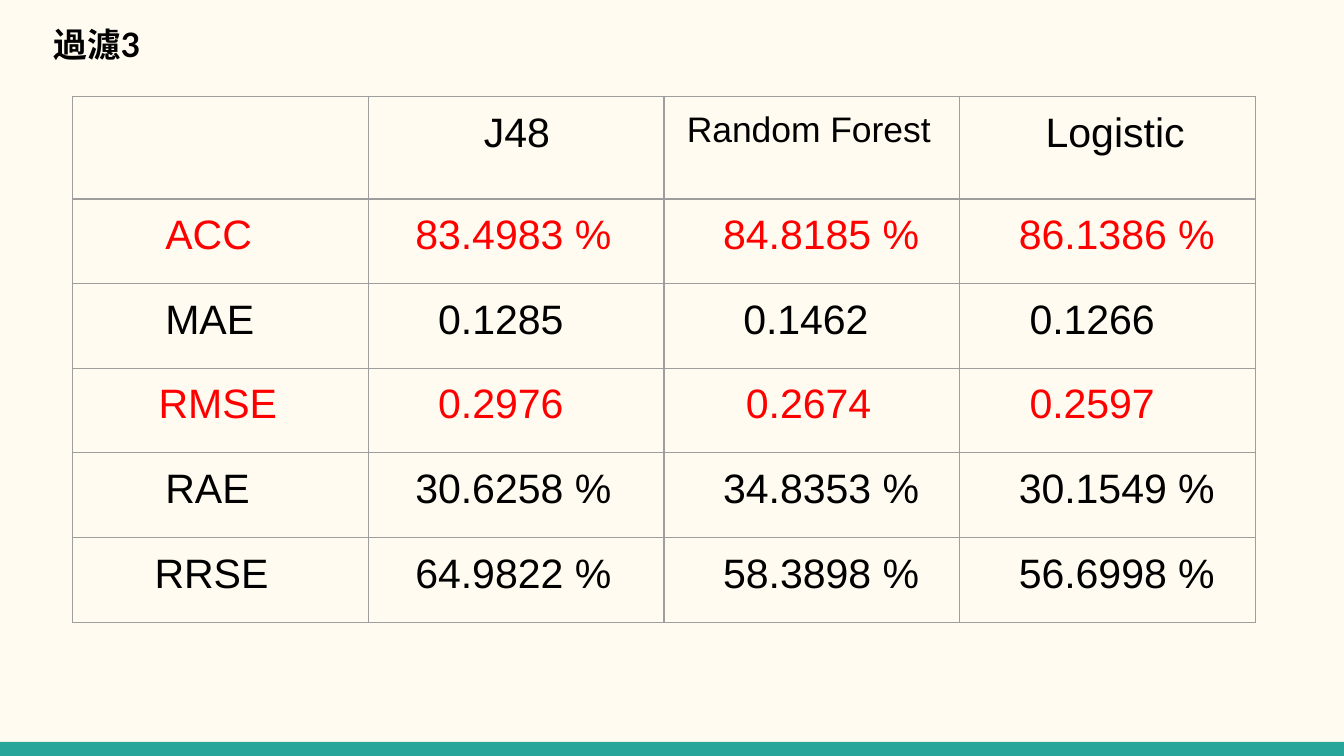
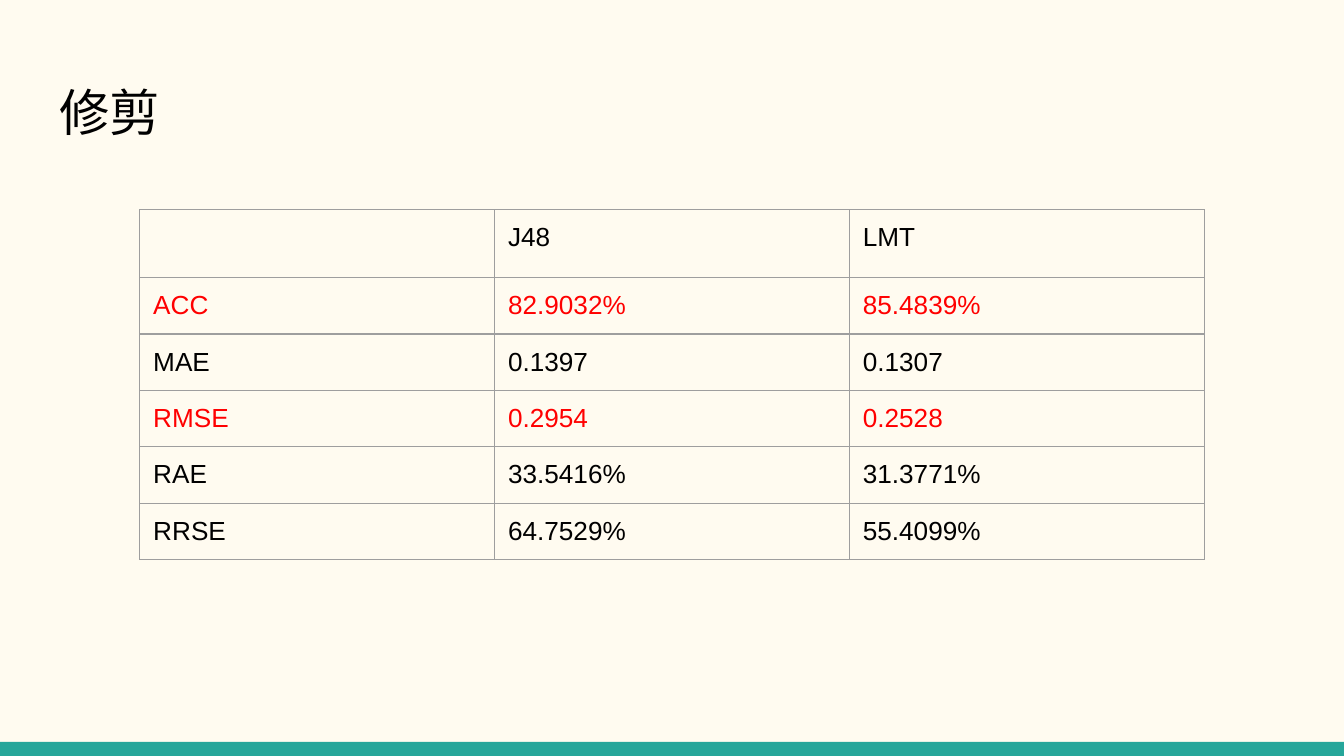
from dataclasses import dataclass

import pptx
import pptx.dml.color
import pptx.enum.shapes
import pptx.enum.text
import pptx.oxml
import pptx.oxml.ns
import pptx.presentation
import pptx.shapes.autoshape
import pptx.slide
import pptx.table
import pptx.text.text
import pptx.util

Inches = pptx.util.Inches

COLORS = {
    "page": "FFFBF0",
    "band": "26A69A",
    "grid": "9E9E9E",
    "text": "000000",
    "key": "FF0000",
}
KEY_METRICS = ("ACC", "RMSE")
PADDING = Inches(0.1)
TITLE_ONLY = 5


@dataclass(frozen=True)
class Title:
    text: str
    left: float
    top: float
    width: float
    height: float
    size: float
    bold: bool = False


@dataclass(frozen=True)
class Results:
    left: float
    top: float
    column_width: float
    header_height: float
    row_height: float
    size: float
    rows: list[list[str]]
    indents: list[list[float]] | None = None
    small_headers: tuple[str, ...] = ()
    small_size: float = 0


FILTER_TITLE = Title("過濾3", 0.3, 0.08, 2.54, 0.5, 18, bold=True)
FILTER_RESULTS = Results(
    left=0.54, top=0.72, column_width=2.2, header_height=0.76, row_height=0.63, size=22,
    rows=[
        ["", "J48", "Random Forest", "Logistic"],
        ["ACC", "83.4983 %", "84.8185 %", "86.1386 %"],
        ["MAE", "0.1285", "0.1462", "0.1266"],
        ["RMSE", "0.2976", "0.2674", "0.2597"],
        ["RAE", "30.6258 %", "34.8353 %", "30.1549 %"],
        ["RRSE", "64.9822 %", "58.3898 %", "56.6998 %"],
    ],
    indents=[
        [0, 0.76, 0.07, 0.54],
        [0.59, 0.25, 0.34, 0.34],
        [0.59, 0.42, 0.49, 0.42],
        [0.54, 0.42, 0.51, 0.42],
        [0.59, 0.25, 0.34, 0.34],
        [0.51, 0.25, 0.34, 0.34],
    ],
    small_headers=("Random Forest",), small_size=19,
)

PRUNING_TITLE = Title("修剪", 0.34, 0.49, 9.32, 0.67, 27)
PRUNING_RESULTS = Results(
    left=1.04, top=1.56, column_width=2.64, header_height=0.48, row_height=0.42, size=14,
    rows=[
        ["", "J48", "LMT"],
        ["ACC", "82.9032%", "85.4839%"],
        ["MAE", "0.1397", "0.1307"],
        ["RMSE", "0.2954", "0.2528"],
        ["RAE", "33.5416%", "31.3771%"],
        ["RRSE", "64.7529%", "55.4099%"],
    ],
)


def rgb(name: str) -> pptx.dml.color.RGBColor:
    return pptx.dml.color.RGBColor.from_string(COLORS[name])


def write(frame: pptx.text.text.TextFrame, text: str, *, size: float, font: str = "Arial",
          color: str = "text", bold: bool = False, indent: float = 0) -> None:
    para = frame.paragraphs[0]
    para.alignment = pptx.enum.text.PP_ALIGN.LEFT
    if indent:
        para_format = para._p.get_or_add_pPr()
        para_format.set("marL", str(Inches(indent)))
        para_format.set("indent", "0")
    span = para.add_run()
    span.text = text
    span.font.name = font
    span.font.size = pptx.util.Pt(size)
    span.font.bold = bold
    span.font.color.rgb = rgb(color)


def pad(holder: pptx.table._Cell | pptx.text.text.TextFrame) -> None:
    holder.margin_left = holder.margin_right = PADDING
    holder.margin_top = holder.margin_bottom = PADDING


def outline(cell: pptx.table._Cell) -> None:
    """Draw the grid line on all four sides of a cell."""
    for side in ("lnL", "lnR", "lnT", "lnB"):
        cell._tc.get_or_add_tcPr().append(pptx.oxml.parse_xml(
            f'<a:{side} {pptx.oxml.ns.nsdecls("a")} w="{pptx.util.Pt(0.75)}">'
            f'<a:solidFill><a:srgbClr val="{COLORS["grid"]}"/></a:solidFill></a:{side}>'))


def add_page(deck: pptx.presentation.Presentation, title: Title) -> pptx.slide.Slide:
    page = deck.slides.add_slide(deck.slide_layouts[TITLE_ONLY])
    box = page.shapes.title
    box.left, box.top = Inches(title.left), Inches(title.top)
    box.width, box.height = Inches(title.width), Inches(title.height)
    frame = box.text_frame
    frame.word_wrap = True
    frame.auto_size = pptx.enum.text.MSO_AUTO_SIZE.NONE
    frame.vertical_anchor = pptx.enum.text.MSO_ANCHOR.MIDDLE
    pad(frame)
    write(frame, title.text, size=title.size, font="Lato", bold=title.bold)
    return page


def add_results(page: pptx.slide.Slide, results: Results) -> None:
    row_count, column_count = len(results.rows), len(results.rows[0])
    height = results.header_height + results.row_height * (row_count - 1)
    table = page.shapes.add_table(
        row_count, column_count, Inches(results.left), Inches(results.top),
        Inches(results.column_width * column_count), Inches(height)).table
    table.first_row = table.horz_banding = False
    for column in table.columns:
        column.width = Inches(results.column_width)
    for r, values in enumerate(results.rows):
        table.rows[r].height = Inches(results.row_height if r else results.header_height)
        color = "key" if values[0] in KEY_METRICS else "text"
        for c, value in enumerate(values):
            cell = table.cell(r, c)
            pad(cell)
            outline(cell)
            cell.fill.background()
            if value:
                size = results.small_size if value in results.small_headers else results.size
                indent = results.indents[r][c] if results.indents else 0
                write(cell.text_frame, value, size=size, color=color, indent=indent)


def style_master(deck: pptx.presentation.Presentation, page: pptx.slide.Slide) -> None:
    """Give the master its background and the bottom band, drawn via a page."""
    master = deck.slide_master
    master.background.fill.solid()
    master.background.fill.fore_color.rgb = rgb("page")
    band = page.shapes.add_shape(pptx.enum.shapes.MSO_SHAPE.RECTANGLE,
                                 0, Inches(5.52), deck.slide_width, Inches(0.11))
    band.shadow.inherit = False
    band.fill.solid()
    band.fill.fore_color.rgb = rgb("band")
    band.line.fill.background()
    master.shapes._spTree.append(band._element)


def main() -> None:
    deck = pptx.Presentation()
    deck.slide_width = Inches(10)
    deck.slide_height = deck.slide_width * 9 // 16
    pages = [(FILTER_TITLE, FILTER_RESULTS), (PRUNING_TITLE, PRUNING_RESULTS)]
    for title, results in pages:
        add_results(add_page(deck, title), results)
    style_master(deck, deck.slides[0])
    deck.save("out.pptx")


if __name__ == "__main__":
    main()
